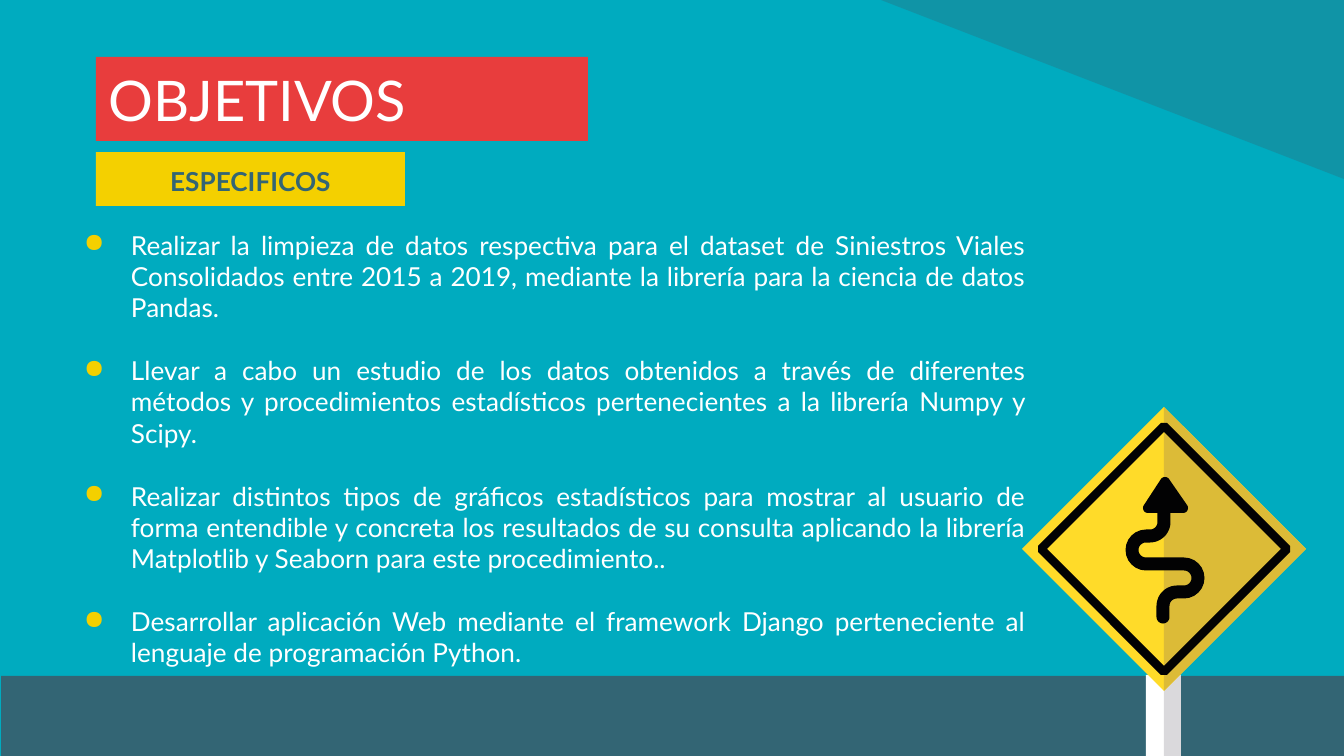
from math import cos, radians, sin

from lxml import etree
from pptx import Presentation
from pptx.dml.color import RGBColor
from pptx.enum.shapes import MSO_SHAPE
from pptx.enum.text import MSO_ANCHOR, PP_ALIGN
from pptx.oxml.ns import qn
from pptx.util import Pt

EMU_PER_PX = 914400 / 134.4
FONT = "Lato"
TEAL, SLATE, RED, YELLOW = "00ABBF", "336574", "E83D3D", "F4D000"
WHITE, POST_SHADE = "FFFFFF", "DAD9DC"
SIGN_YELLOW, SIGN_SHADE, SIGN_BLACK = "FFDB29", "DCBB37", "020203"
PADDING = 13

GOALS = [
    "Realizar la limpieza de datos respectiva para el dataset de Siniestros Viales "
    "Consolidados entre 2015 a 2019, mediante la librería para la ciencia de datos Pandas.",
    "Llevar a cabo un estudio de los datos obtenidos a través de diferentes métodos y "
    "procedimientos estadísticos pertenecientes a la librería Numpy y Scipy.",
    "Realizar distintos tipos de gráficos estadísticos para mostrar al usuario de forma "
    "entendible y concreta los resultados de su consulta aplicando la librería "
    "Matplotlib y Seaborn para este procedimiento..",
    "Desarrollar aplicación Web mediante el framework Django perteneciente al lenguaje "
    "de programación Python.",
]


def px(length):
    return round(length * EMU_PER_PX)


def rgb(color):
    return RGBColor.from_string(color)


def paint(shape, color, alpha=None):
    shape.shadow.inherit = False
    shape.fill.solid()
    shape.fill.fore_color.rgb = rgb(color)
    shape.line.fill.background()
    if alpha is not None:
        fill_color = shape.fill._xPr.find(qn("a:solidFill"))[0]
        etree.SubElement(fill_color, qn("a:alpha"), val=str(alpha * 1000))
    return shape


def add_block(slide, box, color, kind=MSO_SHAPE.RECTANGLE, alpha=None):
    return paint(slide.shapes.add_shape(kind, *map(px, box)), color, alpha)


def add_outline(slide, color, *contours):
    """Fill closed contours given as lists of px points; inner ones are holes."""
    first, *holes = [[(px(x), px(y)) for x, y in contour] for contour in contours]
    builder = slide.shapes.build_freeform(*first[0])
    builder.add_line_segments(first[1:])
    for hole in holes:
        builder.move_to(*hole[0])
        builder.add_line_segments(hole[1:])
    return paint(builder.convert_to_shape(), color)


def write(shape, text, size=14, color=WHITE, bold=False, align=PP_ALIGN.LEFT,
          anchor=MSO_ANCHOR.TOP, bullet=None, gap=0):
    """Write one paragraph per line of text, with gap points between them."""
    frame = shape.text_frame
    frame.word_wrap = True
    frame.vertical_anchor = anchor
    frame.margin_left = frame.margin_right = px(PADDING)
    frame.margin_top = frame.margin_bottom = px(PADDING)
    frame.text = text
    for number, paragraph in enumerate(frame.paragraphs):
        paragraph.alignment = align
        paragraph.space_before = Pt(gap if number else 0)
        font = paragraph.runs[0].font
        font.name, font.size, font.bold = FONT, Pt(size), bold
        font.color.rgb = rgb(color)
        if bullet:
            add_bullet(paragraph, bullet)


def add_bullet(paragraph, color):
    properties = paragraph._p.get_or_add_pPr()
    properties.set("marL", str(px(67)))
    properties.set("indent", str(px(-47)))
    bullet_color = etree.SubElement(properties, qn("a:buClr"))
    etree.SubElement(bullet_color, qn("a:srgbClr"), val=color)
    etree.SubElement(properties, qn("a:buChar"), char="●")


def arc(x, y, radius, start, end, steps=12):
    """Points on an arc; degrees run clockwise from the right."""
    angles = [radians(start + (end - start) * i / steps) for i in range(steps + 1)]
    return [(x + radius * cos(a), y + radius * sin(a)) for a in angles]


def diamond(x, y, half, cut=0):
    """Corners of a diamond, each cut flat by the given amount."""
    points = []
    for dx, dy in [(0, -1), (1, 0), (0, 1), (-1, 0)]:
        for side in (-cut, cut) if cut else (0,):
            reach = half - cut
            points.append((x + dx * reach - dy * side, y + dy * reach + dx * side))
    return points


def winding_arrow():
    bends = [(1150, 522, 0, 90), (1146, 550, 270, 90),
             (1184, 578, -90, 90), (1177, 606, 270, 180)]

    def edge(offset):
        points = []
        for x, y, start, end in bends:
            turn = 1 if end > start else -1
            points += arc(x, y, 14 + turn * offset, start, end)
        return points

    head = arc(1148, 508, 5, 90, 210) + arc(1165, 482, 5, 210, 330) + arc(1183, 508, 5, -30, 90)
    tail = arc(1163, 617, 6.5, 0, 180)
    return (head + [(1170.5, 513)] + edge(6.5) + tail
            + edge(-6.5)[::-1] + [(1157.5, 513)])


def add_road_sign(slide):
    x, y, half = 1164, 549, 142
    add_block(slide, (1146, 675, 35, 81), WHITE)
    add_block(slide, (x, 675, 17, 81), POST_SHADE)
    add_outline(slide, SIGN_YELLOW, diamond(x, y, half))
    add_outline(slide, SIGN_SHADE, diamond(x, y, half)[:3])
    add_outline(slide, SIGN_BLACK, diamond(x, y, 129, cut=3), diamond(x, y, 117)[::-1])
    add_outline(slide, SIGN_BLACK, winding_arrow())


def main():
    presentation = Presentation()
    presentation.slide_width, presentation.slide_height = px(1344), px(756)
    slide = presentation.slides.add_slide(presentation.slide_layouts[6])
    slide.background.fill.solid()
    slide.background.fill.fore_color.rgb = rgb(TEAL)

    add_block(slide, (1, 676, 1343, 80), SLATE)
    corner = add_block(slide, (881, 0, 463, 179), SLATE, MSO_SHAPE.RIGHT_TRIANGLE, alpha=32)
    corner.rotation = 180
    add_road_sign(slide)

    title = add_block(slide, (96, 57, 492, 84), RED)
    write(title, "OBJETIVOS", size=30, anchor=MSO_ANCHOR.MIDDLE)
    goals = slide.shapes.add_textbox(*map(px, (51, 216, 988, 458)))
    write(goals, "\n".join(GOALS), align=PP_ALIGN.JUSTIFY, bullet=YELLOW, gap=16.8)
    subtitle = add_block(slide, (96, 152, 309, 54), YELLOW)
    write(subtitle, "ESPECIFICOS", color=SLATE, bold=True, align=PP_ALIGN.CENTER)

    presentation.save("out.pptx")


if __name__ == "__main__":
    main()
